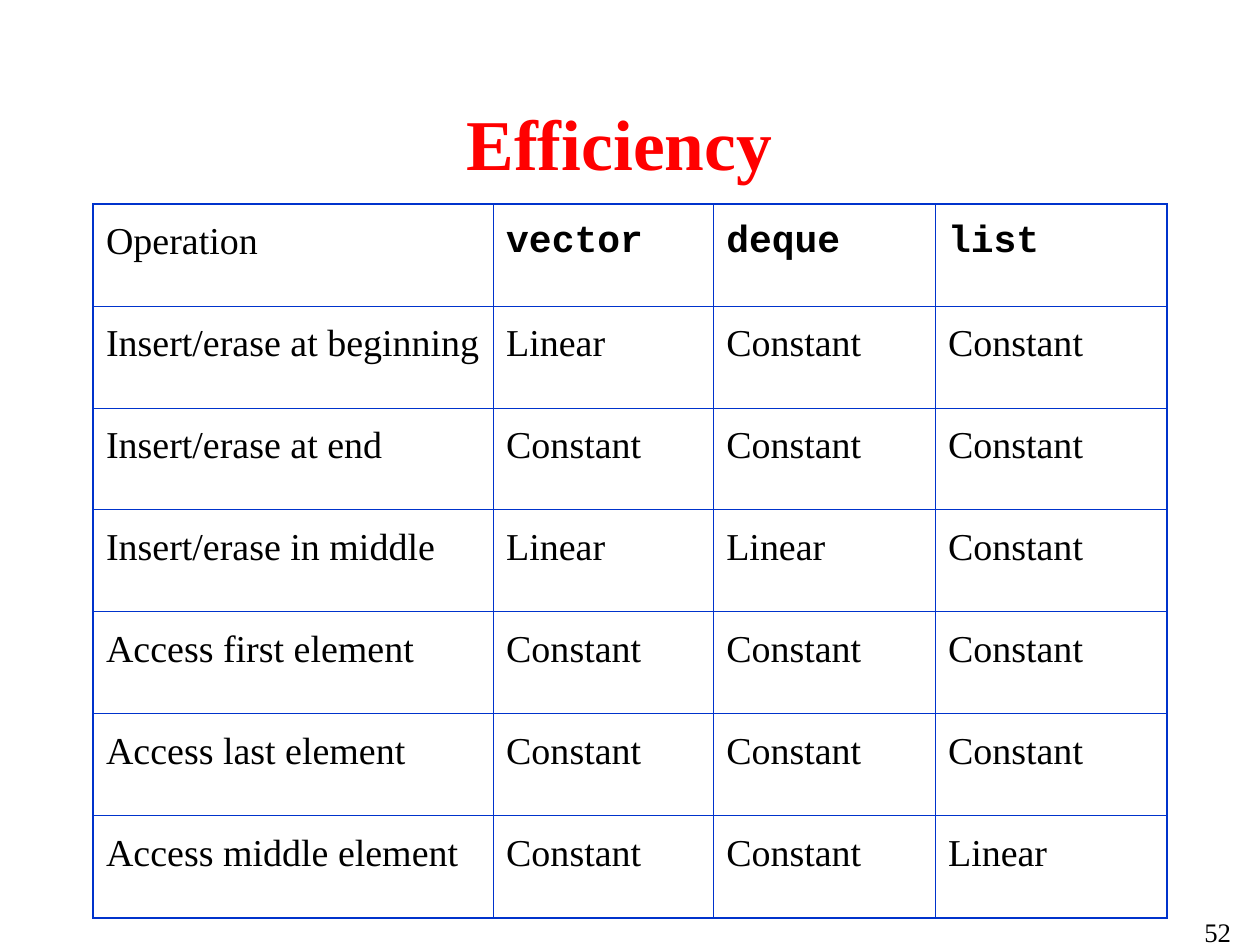
from dataclasses import dataclass

from lxml import etree
from pptx import Presentation
from pptx.dml.color import RGBColor
from pptx.enum.text import MSO_ANCHOR, PP_ALIGN
from pptx.oxml.ns import qn
from pptx.slide import Slide
from pptx.table import _Cell
from pptx.text.text import _Paragraph
from pptx.util import Inches, Pt

CENTER, RIGHT = PP_ALIGN.CENTER, PP_ALIGN.RIGHT
TOP, MIDDLE = MSO_ANCHOR.TOP, MSO_ANCHOR.MIDDLE
NO_STYLE_NO_GRID = "{2D5ABB26-0587-4C30-8999-92F81FD0307C}"


@dataclass(frozen=True)
class Theme:
    serif: str = "Times New Roman"
    mono: str = "Courier New"
    ink: str = "000000"
    title: str = "FF0000"
    rule: str = "0033CC"
    title_size: int = 32
    table_size: int = 17
    number_size: int = 12
    outer_rule: float = 1.08
    inner_rule: float = 0.45


@dataclass(frozen=True)
class Style:
    size: int
    color: str
    font: str
    bold: bool = False


@dataclass(frozen=True)
class Label:
    text: str
    box: tuple[float, float, float, float]
    style: Style
    align: PP_ALIGN
    anchor: MSO_ANCHOR


THEME = Theme()
BODY = Style(THEME.table_size, THEME.ink, THEME.serif)
CONTAINER = Style(THEME.table_size, THEME.ink, THEME.mono, True)

LABELS = [
    Label("52", (5.78, 5.66, 1.96, 0.41),
          Style(THEME.number_size, THEME.ink, THEME.serif), RIGHT, TOP),
    Label("Efficiency", (0.52, 0.39, 6.67, 0.98),
          Style(THEME.title_size, THEME.title, THEME.serif, True), CENTER, MIDDLE),
]

COSTS = [
    ("Operation", "vector", "deque", "list"),
    ("Insert/erase at beginning", "Linear", "Constant", "Constant"),
    ("Insert/erase at end", "Constant", "Constant", "Constant"),
    ("Insert/erase in middle", "Linear", "Linear", "Constant"),
    ("Access first element", "Constant", "Constant", "Constant"),
    ("Access last element", "Constant", "Constant", "Constant"),
    ("Access middle element", "Constant", "Constant", "Linear"),
]
COLUMN_WIDTHS = (2.49, 1.37, 1.38, 1.44)
TABLE_LEFT, TABLE_TOP, TABLE_HEIGHT = 0.58, 1.27, 4.44

LABEL_FORMAT = {
    "margin_left": Inches(0.08), "margin_right": Inches(0.08),
    "margin_top": Inches(0.04), "margin_bottom": Inches(0.04),
    "word_wrap": True,
}
CELL_FORMAT = {
    "margin_left": Inches(0.08), "margin_right": Inches(0.05),
    "margin_top": Inches(0.05), "margin_bottom": Inches(0.05),
    "vertical_anchor": TOP,
}


def apply_format(target: object, values: dict[str, object]) -> None:
    for attribute, value in values.items():
        setattr(target, attribute, value)


def write(paragraph: _Paragraph, text: str, style: Style) -> None:
    run = paragraph.add_run()
    run.text = text
    apply_format(run.font, {"name": style.font, "size": Pt(style.size), "bold": style.bold})
    run.font.color.rgb = RGBColor.from_string(style.color)


def draw_label(slide: Slide, label: Label) -> None:
    frame = slide.shapes.add_textbox(*map(Inches, label.box)).text_frame
    apply_format(frame, LABEL_FORMAT | {"vertical_anchor": label.anchor})
    paragraph = frame.paragraphs[0]
    paragraph.alignment = label.align
    write(paragraph, label.text, label.style)


def draw_borders(cell: _Cell, outer_sides: dict[str, bool]) -> None:
    properties = cell._tc.get_or_add_tcPr()
    for side, is_outer in outer_sides.items():
        width = Pt(THEME.outer_rule if is_outer else THEME.inner_rule)
        line = etree.SubElement(properties, qn(f"a:ln{side}"), w=str(width),
                                cap="flat", cmpd="sng", algn="ctr")
        fill = etree.SubElement(line, qn("a:solidFill"))
        etree.SubElement(fill, qn("a:srgbClr"), val=THEME.rule)
        etree.SubElement(line, qn("a:prstDash"), val="solid")


def draw_costs(slide: Slide) -> None:
    last_row, last_column = len(COSTS) - 1, len(COLUMN_WIDTHS) - 1
    table = slide.shapes.add_table(
        len(COSTS), len(COLUMN_WIDTHS), Inches(TABLE_LEFT), Inches(TABLE_TOP),
        Inches(sum(COLUMN_WIDTHS)), Inches(TABLE_HEIGHT)).table
    apply_format(table, {"first_row": False, "horz_banding": False})
    table._tbl.tblPr.find(qn("a:tableStyleId")).text = NO_STYLE_NO_GRID
    for column, width in zip(table.columns, COLUMN_WIDTHS):
        column.width = Inches(width)

    for r, costs in enumerate(COSTS):
        table.rows[r].height = Inches(TABLE_HEIGHT / len(COSTS))
        for c, text in enumerate(costs):
            cell = table.cell(r, c)
            apply_format(cell, CELL_FORMAT)
            draw_borders(cell, {"L": c == 0, "R": c == last_column,
                                "T": r == 0, "B": r == last_row})
            cell.fill.background()
            paragraph = cell.text_frame.paragraphs[0]
            paragraph.line_spacing = 1.2
            write(paragraph, text, CONTAINER if r == 0 and c > 0 else BODY)


def main() -> None:
    deck = Presentation()
    apply_format(deck, {"slide_width": Inches(7.84), "slide_height": Inches(5.88)})
    slide = deck.slides.add_slide(deck.slide_layouts[6])

    # Page number and title
    for label in LABELS:
        draw_label(slide, label)

    # Cost of each operation by container
    draw_costs(slide)

    deck.save("out.pptx")


if __name__ == "__main__":
    main()
